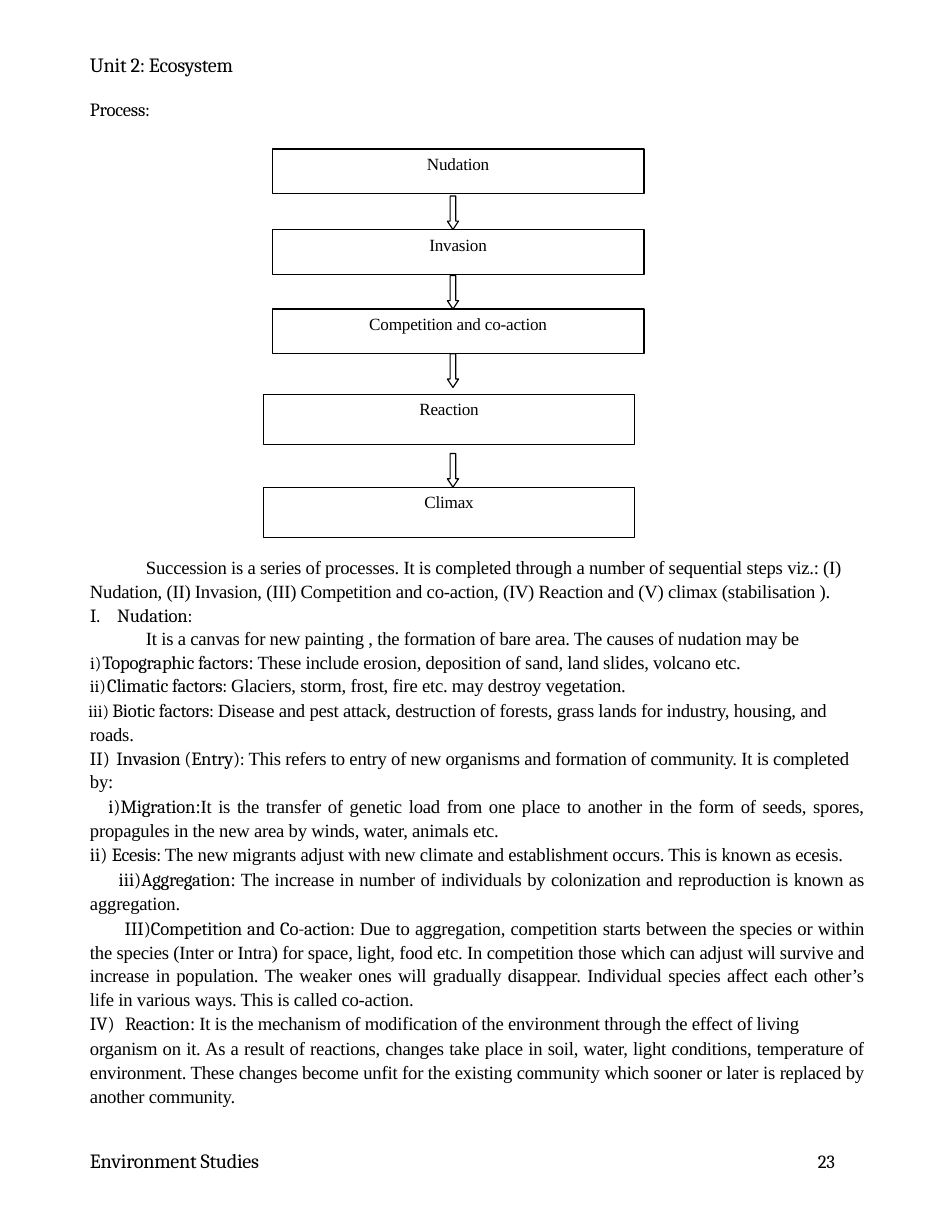
from lxml import etree
from pptx import Presentation
from pptx.dml.color import RGBColor
from pptx.enum import shapes, text
from pptx.oxml.ns import qn
from pptx.util import Pt

SERIF, HEAD = "Times New Roman", "Cambria"
BLACK = "000000"
ROMAN, UPPER, PERIOD = "romanLcParenR", "romanUcParenR", "romanUcPeriod"
TRACKING = -15
MARGIN = 1
BOX_WIDTH = 239
ARROW_LEFT, ARROW_WIDTH, ARROW_HEIGHT = 287.6, 7.2, 21.6

steps = [
    {"label": "Nudation", "top": 95.8},
    {"label": "Invasion", "top": 147.6},
    {"label": "Competition and co-action", "top": 198.7},
    {"label": "Reaction", "top": 253.4, "gap": 4.3, "late": True},
    {"label": "Climax", "top": 313.2, "late": True},
]

title = [
    {"head": "Unit 2: Ecosystem", "size": 13},
    {"head": "Process:", "before": 13.2},
]
footer = [{"head": "Environment Studies", "size": 13}]
page_number = [{"head": "23", "margin": 3}]

notes = [
    {"indent": 36, "spacing": 1.07,
     "body": "Succession is a series of processes. It is completed through a number of "
             "sequential steps viz.: (I) Nudation, (II) Invasion, (III) Competition and "
             "co-action, (IV) Reaction and (V) climax (stabilisation )."},
    {"hang": 17.5, "number": PERIOD, "head": "Nudation:"},
    {"margin": 37,
     "body": "It is a canvas for new painting , the formation of bare area. "
             "The causes of nudation may be"},
    {"hang": 8, "number": ROMAN, "small": True, "head": "Topographic factors",
     "body": ": These include erosion, deposition of sand, land slides, volcano etc."},
    {"hang": 11, "number": ROMAN, "small": True, "head": "Climatic factors: ",
     "body": "Glaciers, storm, frost, fire etc. may destroy vegetation."},
    {"indent": -1, "tab": 15.4, "spacing": 1.07, "number": ROMAN, "small": True,
     "head": "\tBiotic factors: ",
     "body": "Disease and pest attack, destruction of forests, grass lands for industry, "
             "housing, and roads."},
    {"hang": 17, "number": UPPER, "start": 2, "head": "Invasion (Entry): ",
     "body": "This refers to entry of new organisms and formation of community. "
             "It is completed"},
    {"body": "by:"},
    {"indent": 11.8, "spacing": 1.07, "number": ROMAN, "justify": True, "head": "Migration",
     "body": ":It is the transfer of genetic load from one place to another in the form of "
             "seeds, spores, propagules in the new area by winds, water, animals etc."},
    {"hang": 14, "number": ROMAN, "justify": True, "head": "Ecesis: ",
     "body": "The new migrants adjust with new climate and establishment occurs. "
             "This is known as ecesis."},
    {"indent": 18.5, "spacing": 1.07, "number": ROMAN, "justify": True, "head": "Aggregation",
     "body": ": The increase in number of individuals by colonization and reproduction is "
             "known as aggregation."},
    {"indent": 22.3, "spacing": 1.07, "number": UPPER, "start": 3, "justify": True,
     "head": "Competition and Co-action: ",
     "body": "Due to aggregation, competition starts between the species or within the "
             "species (Inter or Intra) for space, light, food etc. In competition those "
             "which can adjust will survive and increase in population. The weaker ones "
             "will gradually disappear. Individual species affect each other’s life in "
             "various ways. This is called co-action."},
    {"hang": 22.5, "number": UPPER, "start": 3, "justify": True, "head": "Reaction",
     "body": ": It is the mechanism of modification of the environment through the effect "
             "of living"},
    {"spacing": 1.07, "justify": True,
     "body": "organism on it. As a result of reactions, changes take place in soil, water, "
             "light conditions, temperature of environment. These changes become unfit for "
             "the existing community which sooner or later is replaced by another "
             "community."},
]

text_boxes = [
    (title, (56.9, 33.1, 103, 45.4)),
    (notes, (56.9, 355.7, 499, 359.3)),
    (footer, (56.9, 738, 118.1, 16.6)),
    (page_number, (522.7, 739.4, 23, 15.8)),
]


def color(value):
    return RGBColor.from_string(value)


def add_words(paragraph, words, font, size):
    run = paragraph.add_run()
    run.text = words
    run.font.name, run.font.size = font, Pt(size)
    run.font.color.rgb = color(BLACK)
    run._r.get_or_add_rPr().set("spc", str(TRACKING))


def set_frame(frame, top_inset):
    frame.word_wrap = True
    frame.auto_size = text.MSO_AUTO_SIZE.SHAPE_TO_FIT_TEXT
    frame.vertical_anchor = text.MSO_ANCHOR.TOP
    frame.margin_left = frame.margin_right = frame.margin_bottom = 0
    frame.margin_top = Pt(top_inset)


def set_layout(paragraph, part, first):
    hang = part.get("hang", 0)
    margin = part.get("margin", MARGIN) + hang
    indent = part.get("indent", -hang)
    properties = paragraph._p.get_or_add_pPr()
    properties.set("marL", str(Pt(margin)))
    properties.set("indent", str(Pt(indent)))
    if "number" in part:
        small = part.get("small", False)
        if small:
            etree.SubElement(properties, qn("a:buSzPct"), val="92000")
        etree.SubElement(properties, qn("a:buFont"), typeface=SERIF if small else HEAD)
        number = etree.SubElement(properties, qn("a:buAutoNum"), type=part["number"])
        if "start" in part:
            number.set("startAt", str(part["start"]))
        tabs = etree.SubElement(properties, qn("a:tabLst"))
        tab = part.get("tab", margin + max(indent, 0))
        etree.SubElement(tabs, qn("a:tab"), pos=str(Pt(tab)), algn="l")
    paragraph.level = 1 if part.get("number") == ROMAN else 0
    justified = part.get("justify", False)
    paragraph.alignment = text.PP_ALIGN.JUSTIFY if justified else text.PP_ALIGN.LEFT
    paragraph.space_before = Pt(0 if first else part.get("before", 0.7))
    paragraph.line_spacing = part.get("spacing", 1.0)


def add_outline(slide, preset, *place):
    shape = slide.shapes.add_shape(preset, *map(Pt, place))
    shape.shadow.inherit = False
    shape.fill.background()
    shape.line.color.rgb = color(BLACK)
    shape.line.width = Pt(0.75)
    return shape


deck = Presentation()
deck.slide_width, deck.slide_height = Pt(612), Pt(792)
slide = deck.slides.add_slide(deck.slide_layouts[6])

for parts, place in text_boxes:
    frame = slide.shapes.add_textbox(*map(Pt, place)).text_frame
    set_frame(frame, 0.7 if parts in (title, notes) else 0)
    for index, part in enumerate(parts):
        paragraph = frame.add_paragraph() if index else frame.paragraphs[0]
        set_layout(paragraph, part, index == 0)
        for key, font in (("head", HEAD), ("body", SERIF)):
            if key in part:
                add_words(paragraph, part[key], font, part.get("size", 12))

for index, step in enumerate(steps):
    left, height = (169.2, 32.4) if step.get("late") else (175, 28.8)
    box = add_outline(slide, shapes.MSO_SHAPE.RECTANGLE, left, step["top"], BOX_WIDTH, height)
    set_frame(box.text_frame, 2.9)
    label = box.text_frame.paragraphs[0]
    label.alignment = text.PP_ALIGN.CENTER
    add_words(label, step["label"], SERIF, 11)
    if index:
        arrow_top = step["top"] - step.get("gap", 0) - ARROW_HEIGHT
        arrow = add_outline(slide, shapes.MSO_SHAPE.DOWN_ARROW,
                            ARROW_LEFT, arrow_top, ARROW_WIDTH, ARROW_HEIGHT)
        arrow.adjustments[0], arrow.adjustments[1] = 0.5, 0.75

deck.save("out.pptx")
